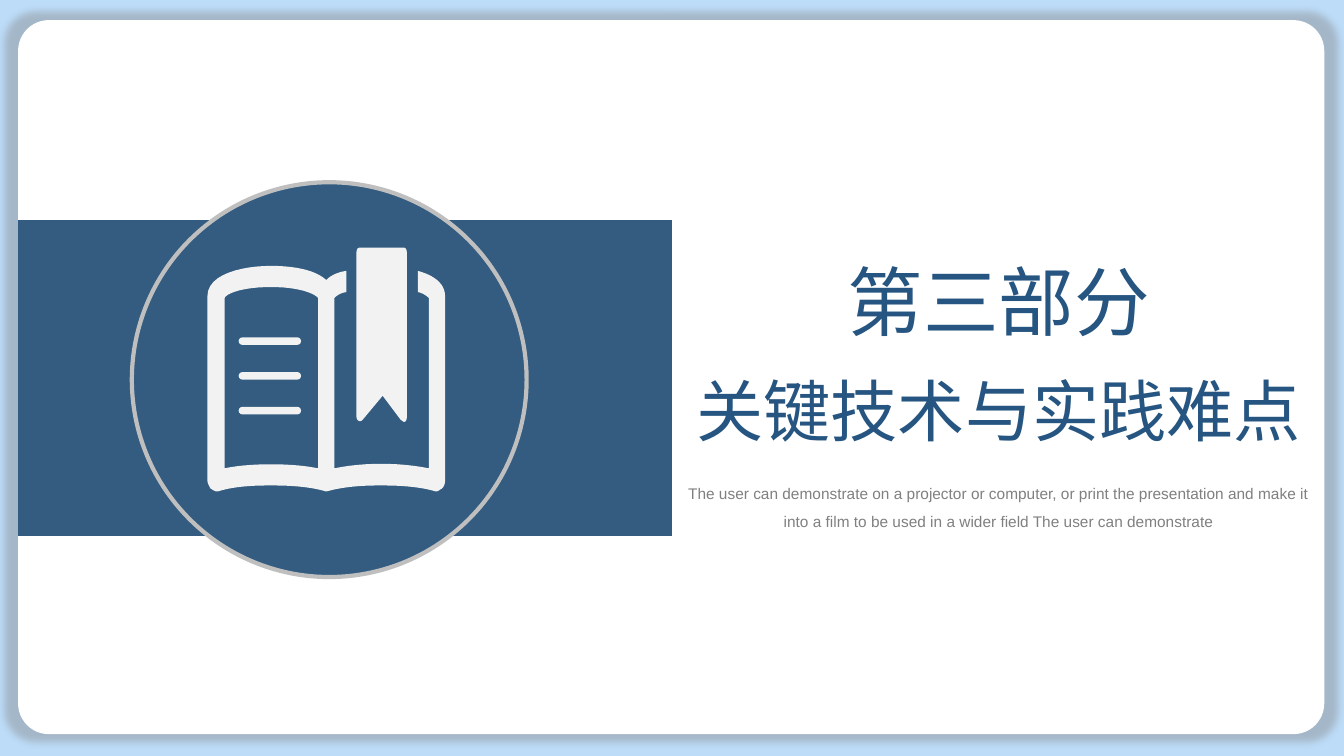
from collections import namedtuple
from lxml import etree
from pptx import Presentation
from pptx import util as u
from pptx.dml.color import RGBColor
from pptx.enum import shapes, text
from pptx.oxml import ns

SKY = RGBColor(0xBD, 0xDC, 0xF8)
WHITE = RGBColor(0xFF, 0xFF, 0xFF)
NAVY = RGBColor(0x33, 0x5C, 0x80)
TITLE_BLUE = RGBColor(0x25, 0x55, 0x80)
RING_GREY = RGBColor(0xBF, 0xBF, 0xBF)
ICON_GREY = RGBColor(0xF2, 0xF2, 0xF2)
TEXT_GREY = RGBColor(0x80, 0x80, 0x80)
CJK, LATIN = "Noto Sans CJK JP", "Arial"

COLUMNS, ROWS = 160, 90
CELL = u.Inches(1) / 12
Box = namedtuple("Box", "left top width height")

# The book icon on a fine grid: two numbers are a line's end,
# six are a curve's two control points and end.
ICON_UNITS = 392  # grid units across the circle
ICON_LEFT, ICON_TOP = 75, 65
COVER = [
    (209, 23), (209, 44), (214, 45, 218, 48, 220, 50), (220, 219),
    (190, 213, 155, 213, 126, 219), (126, 50), (128, 48, 131, 45, 138, 44),
    (138, 23), (130, 24, 123, 27, 118, 32), (106, 21, 83, 18, 63, 18),
    (35, 18, 0, 26, 0, 48), (0, 231), (0, 234, 2, 237, 3, 239),
    (5, 240, 7, 242, 10, 242), (26, 237, 44, 236, 63, 236),
    (82, 236, 101, 237, 118, 242), (136, 237, 154, 236, 172, 236),
    (191, 236, 210, 237, 227, 242), (229, 242, 231, 240, 233, 239),
    (235, 237, 236, 234, 236, 231), (236, 48), (236, 35, 224, 27, 209, 23),
]
LEFT_PAGE = [
    (110, 219), (95, 216, 79, 215, 63, 215), (48, 215, 31, 216, 17, 219),
    (17, 50), (19, 45, 36, 39, 63, 39), (90, 39, 106, 45, 110, 50),
]
RIBBON = [
    (148, 5), (148, 2, 149, 0, 151, 0), (195, 0), (197, 0, 198, 2, 198, 5),
    (198, 168), (198, 171, 197, 173, 195, 173), (192, 171), (174, 147),
    (154, 171), (151, 174, 148, 171, 148, 168),
]


def cells(left, top, width, height):
    """Turn grid columns and rows into a box of lengths."""
    return Box(*(round(value * CELL) for value in (left, top, width, height)))


def paint(shape, fill, line=None, weight=0):
    """Give a shape a flat fill, an optional outline and no shadow."""
    shape.shadow.inherit = False
    shape.fill.solid()
    shape.fill.fore_color.rgb = fill
    if line is None:
        shape.line.fill.background()
    else:
        shape.line.color.rgb = line
        shape.line.width = u.Pt(weight)


def add_preset(slide, kind, box, fill, **outline):
    """Add a painted preset shape in the box."""
    shape = slide.shapes.add_shape(kind, *box)
    paint(shape, fill, **outline)
    return shape


def flatten(segments, steps=12):
    """Return the points along an outline of lines and curves."""
    points = [segments[0]]
    for segment in segments[1:]:
        if len(segment) == 2:
            points.append(segment)
            continue
        start = points[-1]
        for step in range(1, steps + 1):
            t = step / steps
            s = 1 - t
            points.append(tuple(
                s**3 * start[i] + 3 * s * s * t * segment[i]
                + 3 * s * t * t * segment[i + 2] + t**3 * segment[i + 4]
                for i in (0, 1)))
    return points


def add_outline(slide, left, top, unit, *contours):
    """Add one freeform made of closed contours in icon units."""
    fine = 100
    builder = None
    for contour in contours:
        points = [(x * fine, y * fine) for x, y in flatten(contour)]
        if builder is None:
            builder = slide.shapes.build_freeform(*points[0], scale=unit / fine)
        else:
            builder.move_to(*points[0])
        builder.add_line_segments(points[1:], close=True)
    paint(builder.convert_to_shape(left, top), ICON_GREY)


def add_frame(slide, box):
    """Add the white rounded panel with its soft grey halo."""
    panel = add_preset(slide, shapes.MSO_SHAPE.ROUNDED_RECTANGLE, box, WHITE)
    panel.adjustments[0] = 0.043
    effects = panel.element.spPr.find(ns.qn("a:effectLst"))
    halo = etree.SubElement(
        effects, ns.qn("a:outerShdw"), blurRad=str(u.Pt(5)), dist="0", dir="0",
        sx="102000", sy="102000", algn="ctr", rotWithShape="0")
    colour = etree.SubElement(halo, ns.qn("a:srgbClr"), val=str(TEXT_GREY))
    etree.SubElement(colour, ns.qn("a:alpha"), val="40000")


def add_emblem(slide, box):
    """Add the ringed circle holding the open book and its ribbon."""
    add_preset(slide, shapes.MSO_SHAPE.OVAL, box, NAVY, line=RING_GREY, weight=3)
    unit = box.width / ICON_UNITS
    left = round(box.left + ICON_LEFT * unit)
    top = round(box.top + ICON_TOP * unit)
    add_outline(slide, left, top, unit, RIBBON)
    for row in range(3):
        line_box = Box(round(left + 31 * unit), round(top + (89 + 34.5 * row) * unit),
                       round(62 * unit), round(7.5 * unit))
        bar = add_preset(slide, shapes.MSO_SHAPE.ROUNDED_RECTANGLE, line_box, ICON_GREY)
        bar.adjustments[0] = 0.5
    add_outline(slide, left, top, unit, COVER, LEFT_PAGE)


def write(shape, lines, font, colour, spacing):
    """Write centred paragraphs, each given as wording and size."""
    frame = shape.text_frame
    frame.word_wrap = True
    frame.auto_size = text.MSO_AUTO_SIZE.NONE
    frame.vertical_anchor = text.MSO_ANCHOR.TOP
    for index, (wording, size) in enumerate(lines):
        paragraph = frame.add_paragraph() if index else frame.paragraphs[0]
        paragraph.alignment = text.PP_ALIGN.CENTER
        paragraph.line_spacing = spacing
        paragraph.space_before = paragraph.space_after = u.Pt(0)
        run = paragraph.add_run()
        run.text = wording
        run.font.size = u.Pt(size)
        run.font.name = font
        run.font.color.rgb = colour
        east_asian = etree.SubElement(run._r.get_or_add_rPr(), ns.qn("a:ea"))
        east_asian.set("typeface", font)


def add_heading(slide, box):
    """Place the section title in the title placeholder, above the panel."""
    title = slide.shapes.title
    title.left, title.top, title.width, title.height = box
    title.element.getparent().append(title.element)
    write(title, [("第三部分", 54), ("关键技术与实践难点", 48)], CJK, TITLE_BLUE, 1.3)


def add_caption(slide, box):
    """Add the small grey text under the title."""
    caption = slide.shapes.add_textbox(*box)
    wording = ("The user can demonstrate on a projector or computer, or print the "
               "presentation and make it into a film to be used in a wider field "
               "The user can demonstrate")
    write(caption, [(wording, 11)], LATIN, TEXT_GREY, 1.5)


def add_section_slide(presentation):
    """Build the section slide: emblem on the left, heading on the right."""
    slide = presentation.slides.add_slide(presentation.slide_layouts[5])
    slide.background.fill.solid()
    slide.background.fill.fore_color.rgb = SKY
    add_frame(slide, cells(2.16, 2.4, 155.5, 85))
    add_preset(slide, shapes.MSO_SHAPE.RECTANGLE, cells(2.16, 26.2, 77.84, 37.6), NAVY)
    add_heading(slide, cells(80, 26.5, 77.8, 26.8))
    add_caption(slide, cells(80, 56, 77.8, 7.4))
    add_emblem(slide, cells(15.7, 21.7, 47, 47))


presentation = Presentation()
presentation.slide_width = round(COLUMNS * CELL)
presentation.slide_height = round(ROWS * CELL)
add_section_slide(presentation)
presentation.save("out.pptx")
